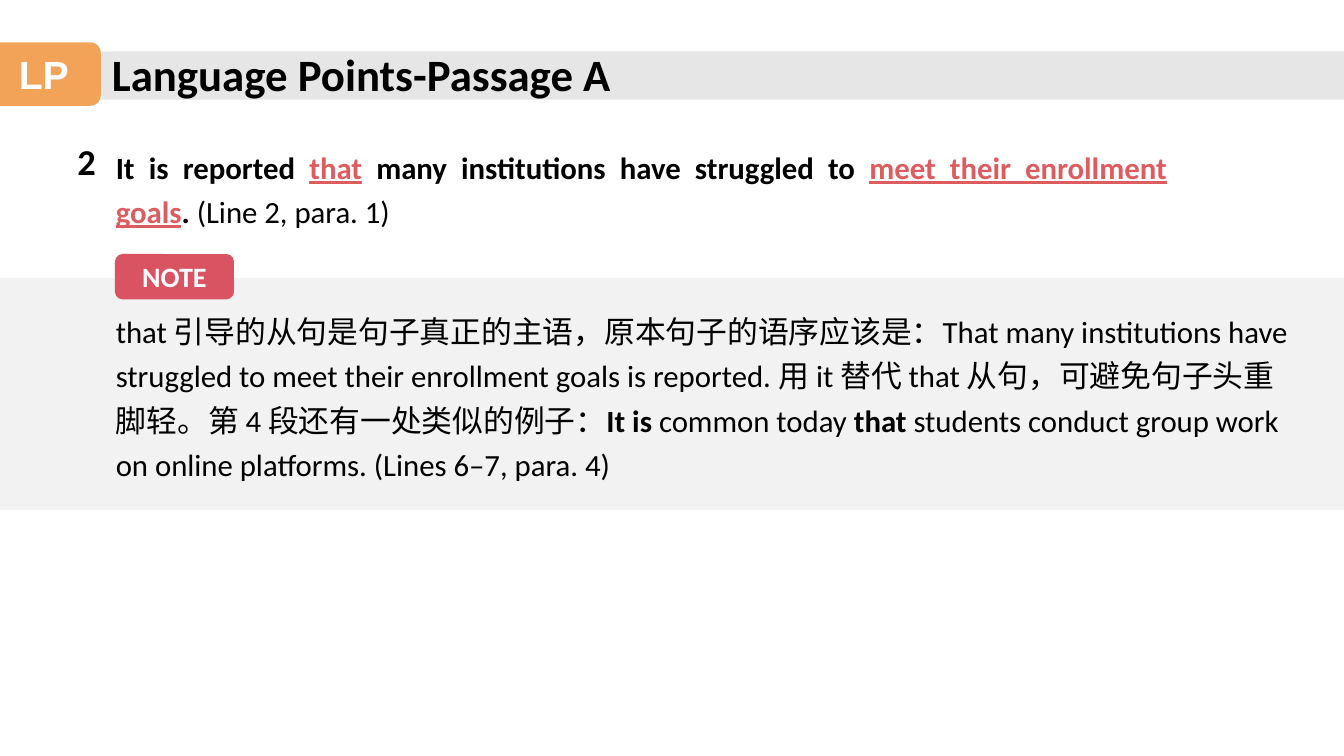
from pptx import Presentation
from pptx.dml.color import RGBColor
from pptx.enum.shapes import MSO_SHAPE
from pptx.enum.text import MSO_ANCHOR, MSO_AUTO_SIZE, PP_ALIGN
from pptx.util import Inches, Pt

RECT, ROUNDED = MSO_SHAPE.RECTANGLE, MSO_SHAPE.ROUNDED_RECTANGLE
TOP, MIDDLE = MSO_ANCHOR.TOP, MSO_ANCHOR.MIDDLE
LEFT, CENTER, JUSTIFY = PP_ALIGN.LEFT, PP_ALIGN.CENTER, PP_ALIGN.JUSTIFY
NO_AUTOFIT = MSO_AUTO_SIZE.NONE

BLACK, WHITE, KEY_RED = "000000", "FFFFFF", "DD5C60"
BOLD = {"bold": True}
KEY = {"bold": True, "underline": True, "color": KEY_RED}


def rgb(hex_color):
    return RGBColor.from_string(hex_color)


class LessonSlide:
    """Holds the text style and the slide being filled."""

    font = "Calibri"
    body_size = 22

    def __init__(self, slide):
        self.slide = slide

    def set_text(self, shape, runs, size, align=LEFT, anchor=TOP, spacing=1.0, font=None):
        """Fill a shape with one paragraph of (text, style) runs."""
        frame = shape.text_frame
        frame.word_wrap = True
        frame.auto_size = NO_AUTOFIT
        frame.vertical_anchor = anchor
        paragraph = frame.paragraphs[0]
        paragraph.alignment = align
        paragraph.line_spacing = spacing
        for text, style in runs:
            run = paragraph.add_run()
            run.text = text
            run.font.name = font or self.font
            run.font.size = Pt(size)
            run.font.bold = style.get("bold", False)
            run.font.underline = style.get("underline", False)
            run.font.color.rgb = rgb(style.get("color", BLACK))

    def title(self, text, left, top, width, height):
        title = self.slide.shapes.title
        title.left, title.top = Inches(left), Inches(top)
        title.width, title.height = Inches(width), Inches(height)
        self.set_text(title, [(text, BOLD)], 32)
        # Bring the title in front of the band behind it
        self.slide.shapes._spTree.append(title._element)

    def block(self, kind, left, top, width, height, fill):
        block = self.slide.shapes.add_shape(
            kind, Inches(left), Inches(top), Inches(width), Inches(height))
        block.shadow.inherit = False
        block.fill.solid()
        block.fill.fore_color.rgb = rgb(fill)
        block.line.fill.background()
        return block

    def tag(self, text, left, top, width, height, fill, size, font=None):
        tag = self.block(ROUNDED, left, top, width, height, fill)
        label = [(text, {"bold": True, "color": WHITE})]
        self.set_text(tag, label, size, CENTER, MIDDLE, font=font)

    def text(self, runs, left, top, width, height, size=body_size, **layout):
        box = self.slide.shapes.add_textbox(
            Inches(left), Inches(top), Inches(width), Inches(height))
        self.set_text(box, runs, size, **layout)


def main():
    deck = Presentation()
    deck.slide_width, deck.slide_height = Inches(13.33), Inches(7.5)
    lesson = LessonSlide(deck.slides.add_slide(deck.slide_layouts[5]))

    lesson.block(RECT, 1.01, 0.51, 12.32, 0.48, "E7E6E6")
    lesson.tag("LP", -0.13, 0.42, 1.13, 0.63, "F2A357", 28, "Arial")
    lesson.title("Language Points-Passage A", 1.01, 0.41, 5.36, 0.64)

    lesson.text([("2", BOLD)], 0.67, 1.33, 0.47, 0.54, size=26)
    sentence = [
        ("It is reported ", BOLD),
        ("that", KEY),
        (" many institutions have struggled to ", BOLD),
        ("meet their enrollment goals", KEY),
        (".", BOLD),
        (" (Line 2, para. 1)", {}),
    ]
    lesson.text(sentence, 1.05, 1.35, 10.62, 0.96, align=JUSTIFY, spacing=1.2)

    lesson.block(RECT, 0, 2.76, 13.33, 2.3, "F2F2F2")
    note = [
        ("that 引导的从句是句子真正的主语，原本句子的语序应该是："
         "That many institutions have struggled to meet their enrollment goals "
         "is reported. 用 it 替代 that 从句，可避免句子头重脚轻。"
         "第 4 段还有一处类似的例子：", {}),
        ("It is", BOLD),
        (" common today ", {}),
        ("that", BOLD),
        (" students conduct group work on online platforms. (Lines 6–7, para. 4)", {}),
    ]
    lesson.text(note, 1.05, 2.98, 11.84, 1.85, spacing=1.2)
    lesson.tag("NOTE", 1.14, 2.52, 1.18, 0.45, "DA5362", 20)

    deck.save("out.pptx")


if __name__ == "__main__":
    main()
